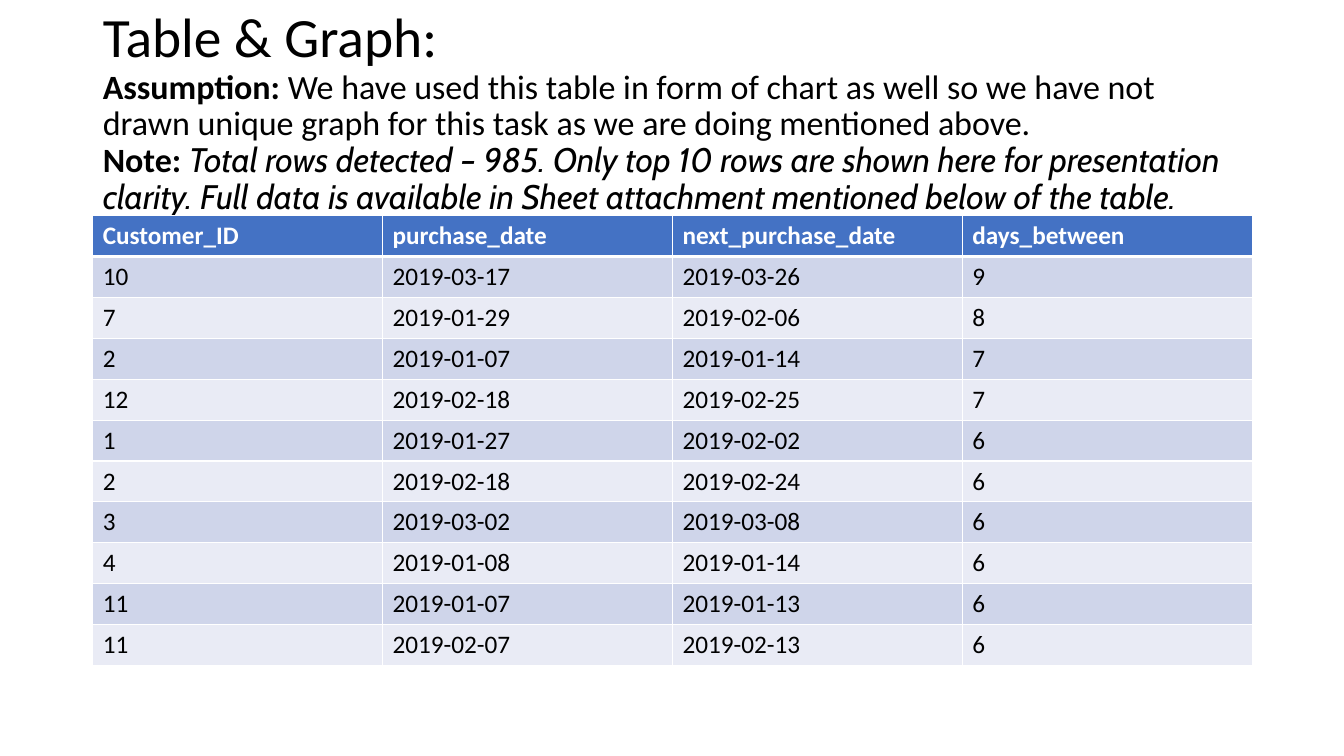
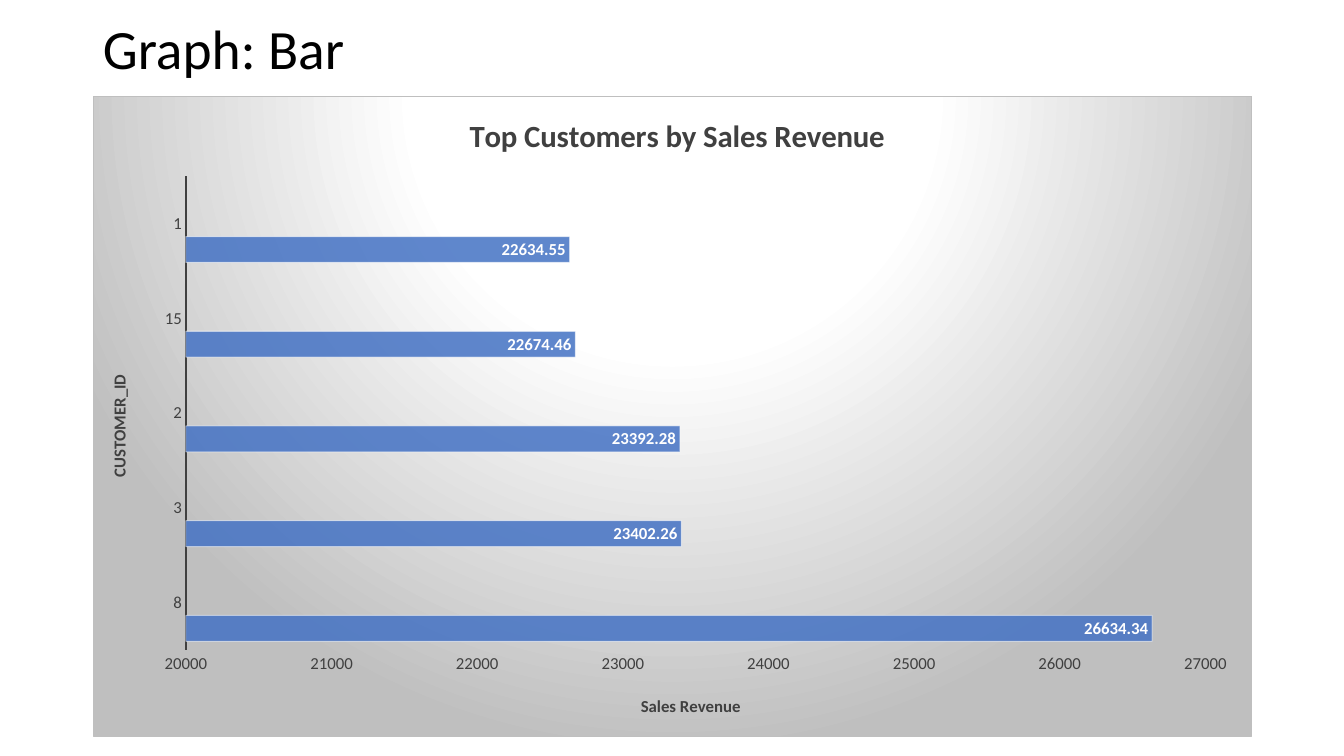
from lxml import etree
from pptx import Presentation
from pptx.chart.data import CategoryChartData
from pptx.dml.color import RGBColor
from pptx.enum.chart import XL_CHART_TYPE, XL_LABEL_POSITION, XL_TICK_MARK
from pptx.enum.text import MSO_ANCHOR, MSO_AUTO_SIZE, PP_ALIGN
from pptx.oxml import parse_xml
from pptx.oxml.ns import nsdecls, qn
from pptx.util import Inches, Pt

BAR_CLUSTERED = XL_CHART_TYPE.BAR_CLUSTERED
INSIDE_END = XL_LABEL_POSITION.INSIDE_END
NO_TICK = XL_TICK_MARK.NONE
MIDDLE = MSO_ANCHOR.MIDDLE
NO_AUTOFIT = MSO_AUTO_SIZE.NONE
LEFT = PP_ALIGN.LEFT

BLACK = RGBColor(0x00, 0x00, 0x00)
WHITE = RGBColor(0xFF, 0xFF, 0xFF)
CHARCOAL = RGBColor(0x40, 0x40, 0x40)
SILVER = RGBColor(0xBF, 0xBF, 0xBF)
BLUE = RGBColor(0x44, 0x72, 0xC4)
ORANGE = RGBColor(0xED, 0x7D, 0x31)
GREY = RGBColor(0xA5, 0xA5, 0xA5)
BAND_DARK = RGBColor(0xCF, 0xD5, 0xEA)
BAND_LIGHT = RGBColor(0xE9, 0xEB, 0xF5)

FONT = "Calibri"
NOTE_FONT = "Cabin"
HEADING_SIZE, NOTE_SIZE, CELL_SIZE = 39.6, 24.3, 18
CHART_TITLE_SIZE, CHART_TEXT_SIZE = 22, 12

SLIDE_WIDTH, SLIDE_HEIGHT = 13.33, 7.5
MARGIN = 0.92
CONTENT_WIDTH = 11.5
TITLE_TOP = 0.4
TABLE_TOP, ROW_HEIGHT = 2.14, 0.4
CHART_TOP, CHART_HEIGHT = 0.95, 6.36

PURCHASE_ROWS = [
    ("Customer_ID", "purchase_date", "next_purchase_date", "days_between"),
    ("10", "2019-03-17", "2019-03-26", "9"),
    ("7", "2019-01-29", "2019-02-06", "8"),
    ("2", "2019-01-07", "2019-01-14", "7"),
    ("12", "2019-02-18", "2019-02-25", "7"),
    ("1", "2019-01-27", "2019-02-02", "6"),
    ("2", "2019-02-18", "2019-02-24", "6"),
    ("3", "2019-03-02", "2019-03-08", "6"),
    ("4", "2019-01-08", "2019-01-14", "6"),
    ("11", "2019-01-07", "2019-01-13", "6"),
    ("11", "2019-02-07", "2019-02-13", "6"),
]
REVENUE = {"8": 26634.34, "3": 23402.26, "2": 23392.28, "15": 22674.46, "1": 22634.55}
TABLE_NOTES = [
    [("Assumption: ", True, False),
     ("We have used this table in form of chart as well so we have not drawn "
      "unique graph for this task as we are doing mentioned above.", False, False)],
    [("Note: ", True, False),
     ("Total rows detected – 985. Only top 10 rows are shown here for presentation "
      "clarity. Full data is available in Sheet attachment mentioned below of the "
      "table.", False, True)],
]


def style_font(font, size, color, bold=False, italic=False, name=FONT):
    """Set every property of a font."""
    font.name, font.size, font.bold, font.italic = name, Pt(size), bold, italic
    font.color.rgb = color


def add_span(para, text, size, bold=False, italic=False):
    """Add a run of title text, with italics in the note font."""
    span = para.add_run()
    span.text = text
    style_font(span.font, size, BLACK, bold, italic, NOTE_FONT if italic else FONT)


def add_titled_page(deck, heading, height, notes=()):
    """Add a page whose title holds a heading and optional note lines."""
    page = deck.slides.add_slide(deck.slide_layouts[5])
    box = page.shapes.title
    box.left, box.top = Inches(MARGIN), Inches(TITLE_TOP)
    box.width, box.height = Inches(CONTENT_WIDTH), Inches(height)
    frame = box.text_frame
    frame.auto_size, frame.vertical_anchor, frame.word_wrap = NO_AUTOFIT, MIDDLE, True
    para = frame.paragraphs[0]
    para.alignment, para.line_spacing = LEFT, 0.9
    add_span(para, heading, HEADING_SIZE)
    for note in notes:
        para.add_line_break()
        for text, bold, italic in note:
            add_span(para, text, NOTE_SIZE, bold, italic)
    return page


def set_cell_borders(cell, bottom_width):
    """Draw white borders around a cell."""
    properties = cell._tc.get_or_add_tcPr()
    widths = {"lnL": 1, "lnR": 1, "lnT": 1, "lnB": bottom_width}
    for position, (side, width) in enumerate(widths.items()):
        properties.insert(position, parse_xml(
            f'<a:{side} {nsdecls("a")} w="{Pt(width)}"><a:solidFill>'
            f'<a:srgbClr val="{WHITE}"/></a:solidFill></a:{side}>'))


def add_banded_table(page, rows):
    """Add a table with a blue header and alternating bands."""
    table = page.shapes.add_table(
        len(rows), len(rows[0]), Inches(MARGIN), Inches(TABLE_TOP),
        Inches(CONTENT_WIDTH), Inches(ROW_HEIGHT * len(rows))).table
    for row_index, values in enumerate(rows):
        header = row_index == 0
        band = BAND_DARK if row_index % 2 else BAND_LIGHT
        for column_index, value in enumerate(values):
            cell = table.cell(row_index, column_index)
            cell.text = value
            cell.fill.solid()
            cell.fill.fore_color.rgb = BLUE if header else band
            if not header:
                cell.vertical_anchor = MIDDLE
            style_font(cell.text_frame.paragraphs[0].font, CELL_SIZE,
                       WHITE if header else BLACK, bold=header)
            set_cell_borders(cell, 3 if header else 1)


def manual_layout(left, top, width=None, height=None):
    """Return a chart layout given in shares of the chart's size."""
    layout = etree.Element(qn("c:layout"))
    manual = etree.SubElement(layout, qn("c:manualLayout"))
    settings = {"xMode": "edge", "yMode": "edge", "x": left, "y": top}
    if width:
        settings = {"layoutTarget": "inner", **settings, "w": width, "h": height}
    for tag, value in settings.items():
        etree.SubElement(manual, qn(f"c:{tag}")).set("val", str(value))
    return layout


def set_chart_title(owner, text, size, left, top):
    """Title a chart or an axis at a given place."""
    owner.has_title = True
    title = owner.chart_title if hasattr(owner, "chart_title") else owner.axis_title
    para = title.text_frame.paragraphs[0]
    span = para.add_run()
    span.text = text
    style_font(span.font, size, CHARCOAL, bold=True)
    element = title.element if hasattr(title, "element") else title._element
    for layout in element.findall(qn("c:layout")):
        element.remove(layout)
    element.find(qn("c:tx")).addnext(manual_layout(left, top))


def style_axes(chart):
    """Format the axes, their scale and their titles."""
    for axis in (chart.category_axis, chart.value_axis):
        axis.major_tick_mark = axis.minor_tick_mark = NO_TICK
        axis.has_major_gridlines = False
        style_font(axis.tick_labels.font, CHART_TEXT_SIZE, CHARCOAL)
    line = chart.category_axis.format.line
    line.color.rgb, line.width = CHARCOAL, Pt(1.5)
    scale = chart.value_axis
    scale.format.line.fill.background()
    scale.minimum_scale, scale.maximum_scale, scale.major_unit = 20000, 27000, 1000
    set_chart_title(chart.category_axis, "CUSTOMER_ID", CHART_TEXT_SIZE, 0.01, 0.43)
    set_chart_title(scale, "Sales Revenue", CHART_TEXT_SIZE, 0.47, 0.93)


def style_bars(plot):
    """Format the translucent bars and their value labels."""
    plot.gap_width, plot.overlap, plot.vary_by_categories = 65, 0, False
    for series, color in zip(plot.series, (BLUE, ORANGE, GREY)):
        series.format.fill.solid()
        series.format.fill.fore_color.rgb = color
        series.format.line.color.rgb = WHITE
        series.format.line.width = Pt(0.75)
        shades = series._element.find(qn("c:spPr")).iter(qn("a:srgbClr"))
        for shade, alpha in zip(shades, (85000, 50000)):
            etree.SubElement(shade, qn("a:alpha")).set("val", str(alpha))
        labels = series.data_labels
        labels.show_value, labels.position = True, INSIDE_END
        style_font(labels.font, CHART_TEXT_SIZE, WHITE, bold=True)


def set_chart_background(chart):
    """Fill the chart area with a radial gradient and a thin border."""
    stops = "".join(
        f'<a:gs pos="{share * 1000}"><a:srgbClr val="{color}"/></a:gs>'
        for share, color in ((0, WHITE), (39, WHITE), (100, SILVER)))
    chart.element.find(qn("c:chart")).addnext(parse_xml(
        f'<c:spPr {nsdecls("c", "a")}><a:gradFill><a:gsLst>{stops}</a:gsLst>'
        '<a:path path="circle"><a:fillToRect l="50000" t="-80000" r="50000" '
        f'b="180000"/></a:path></a:gradFill><a:ln w="{Pt(0.75)}"><a:solidFill>'
        f'<a:srgbClr val="{SILVER}"/></a:solidFill></a:ln></c:spPr>'))


def add_revenue_chart(page, revenue):
    """Add the bar chart of revenue by customer."""
    data = CategoryChartData()
    data.categories = list(revenue)
    data.add_series("Series 1", revenue.values())
    for name in ("Series 2", "Series 3"):
        data.add_series(name, [None] * len(revenue))
    chart = page.shapes.add_chart(
        BAR_CLUSTERED, Inches(MARGIN), Inches(CHART_TOP),
        Inches(CONTENT_WIDTH), Inches(CHART_HEIGHT), data).chart
    chart.has_legend = False
    style_font(chart.font, 10, BLACK)
    set_chart_title(chart, "Top Customers by Sales Revenue", CHART_TITLE_SIZE, 0.32, 0.02)
    style_axes(chart)
    style_bars(chart.plots[0])
    set_chart_background(chart)
    plot_area = chart.element.find(".//" + qn("c:plotArea"))
    for layout in plot_area.findall(qn("c:layout")):
        plot_area.remove(layout)
    plot_area.insert(0, manual_layout(0.08, 1 / 8, 0.88, 0.74))


def main():
    """Build the two pages and save the deck."""
    deck = Presentation()
    deck.slide_width, deck.slide_height = Inches(SLIDE_WIDTH), Inches(SLIDE_HEIGHT)
    add_banded_table(add_titled_page(deck, "Table & Graph:", 1.45, TABLE_NOTES),
                     PURCHASE_ROWS)
    add_revenue_chart(add_titled_page(deck, "Graph: Bar", 0.23), REVENUE)
    deck.save("out.pptx")


if __name__ == "__main__":
    main()
